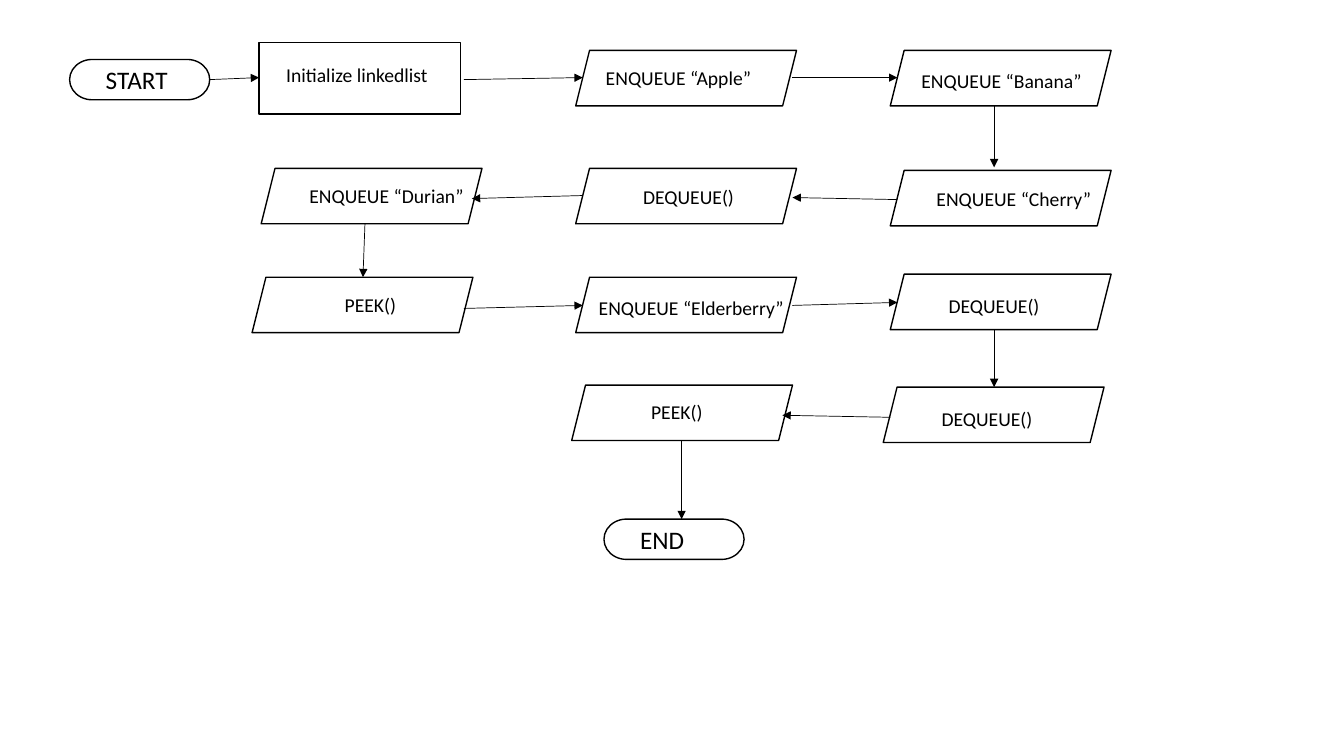
from dataclasses import dataclass
from lxml.etree import SubElement
from pptx import Presentation
from pptx.dml.color import RGBColor
from pptx.enum.shapes import MSO_CONNECTOR, MSO_SHAPE
from pptx.enum.text import MSO_AUTO_SIZE
from pptx.oxml.ns import qn
from pptx.util import Inches, Pt

# Content: kind, text, (left, top) of the shape, (left, top) of its label
STEPS = [
    ("end", "START", (0.69, 0.59), (0.95, 0.59)),
    ("task", "Initialize linkedlist", (2.57, 0.42), (2.74, 0.58)),
    ("call", "ENQUEUE “Apple”", (5.71, 0.5), (5.91, 0.61)),
    ("call", "ENQUEUE “Banana”", (8.83, 0.5), (9.04, 0.63)),
    ("call", "ENQUEUE “Cherry”", (8.83, 1.69), (9.19, 1.81)),
    ("call", "DEQUEUE()", (5.71, 1.67), (6.28, 1.79)),
    ("call", "ENQUEUE “Durian”", (2.59, 1.67), (2.97, 1.78)),
    ("call", "PEEK()", (2.5, 2.75), (3.32, 2.86)),
    ("call", "ENQUEUE “Elderberry”", (5.71, 2.75), (5.84, 2.89)),
    ("call", "DEQUEUE()", (8.83, 2.72), (9.31, 2.87)),
    ("call", "DEQUEUE()", (8.76, 3.84), (9.24, 3.99)),
    ("call", "PEEK()", (5.67, 3.82), (6.36, 3.92)),
    ("end", "END", (5.99, 5.15), (6.25, 5.15)),
]

# Arrows in flow order: start point, end point
ARROWS = [
    ((2.08, 0.79), (2.57, 0.77)),
    ((4.6, 0.79), (5.78, 0.77)),
    ((7.86, 0.77), (8.9, 0.77)),
    ((9.86, 1.05), (9.86, 1.66)),
    ((8.9, 1.98), (7.86, 1.96)),
    ((5.78, 1.94), (4.68, 1.97)),
    ((3.62, 2.22), (3.6, 2.75)),
    ((4.6, 3.06), (5.78, 3.03)),
    ((7.86, 3.03), (8.9, 3)),
    ((9.86, 3.27), (9.86, 3.84)),
    ((8.83, 4.14), (7.76, 4.12)),
    ((6.76, 4.37), (6.76, 5.15)),
]


@dataclass
class Theme:
    ink: RGBColor = RGBColor(0, 0, 0)
    paper: RGBColor = RGBColor(255, 255, 255)
    font: str = "Calibri"
    large: int = 18
    small: int = 14
    edge: float = 1
    thin: float = 0.5


THEME = Theme()

# Kind: preset, shape size, label size, type size
KINDS = {
    "end": (MSO_SHAPE.FLOWCHART_TERMINATOR, (1.39, 0.4), (1.03, 0.4), THEME.large),
    "task": (MSO_SHAPE.RECTANGLE, (2, 0.71), (2, 0.77), THEME.small),
    "call": (MSO_SHAPE.PARALLELOGRAM, (2.19, 0.55), (2.74, 0.34), THEME.small),
}


def place(*sides):
    return [Inches(side) for side in sides]


def add_step(slide, kind, text, spot, mark):
    preset, size, room, points = KINDS[kind]
    group = slide.shapes.add_group_shape()

    # Outline
    shape = group.shapes.add_shape(preset, *place(*spot, *size))
    shape.shadow.inherit = False
    shape.fill.solid()
    shape.fill.fore_color.rgb = THEME.paper
    shape.line.color.rgb = THEME.ink
    shape.line.width = Pt(THEME.edge)

    # Label
    frame = group.shapes.add_textbox(*place(*mark, *room)).text_frame
    frame.word_wrap = True
    frame.auto_size = MSO_AUTO_SIZE.SHAPE_TO_FIT_TEXT
    frame.text = text
    font = frame.paragraphs[0].font
    font.name = THEME.font
    font.size = Pt(points)
    font.color.rgb = THEME.ink


def add_arrow(slide, start, stop):
    arrow = slide.shapes.add_connector(MSO_CONNECTOR.STRAIGHT, *place(*start, *stop))
    arrow.line.color.rgb = THEME.ink
    arrow.line.width = Pt(THEME.thin)
    props = arrow.element.spPr
    SubElement(props.find(qn("a:ln")), qn("a:tailEnd"), type="triangle")
    SubElement(props, qn("a:effectLst"))


def main():
    deck = Presentation()
    deck.slide_width, deck.slide_height = place(13.33, 7.5)
    slide = deck.slides.add_slide(deck.slide_layouts[6])
    for step in STEPS:
        add_step(slide, *step)
    for start, stop in ARROWS:
        add_arrow(slide, start, stop)
    deck.save("out.pptx")


if __name__ == "__main__":
    main()
